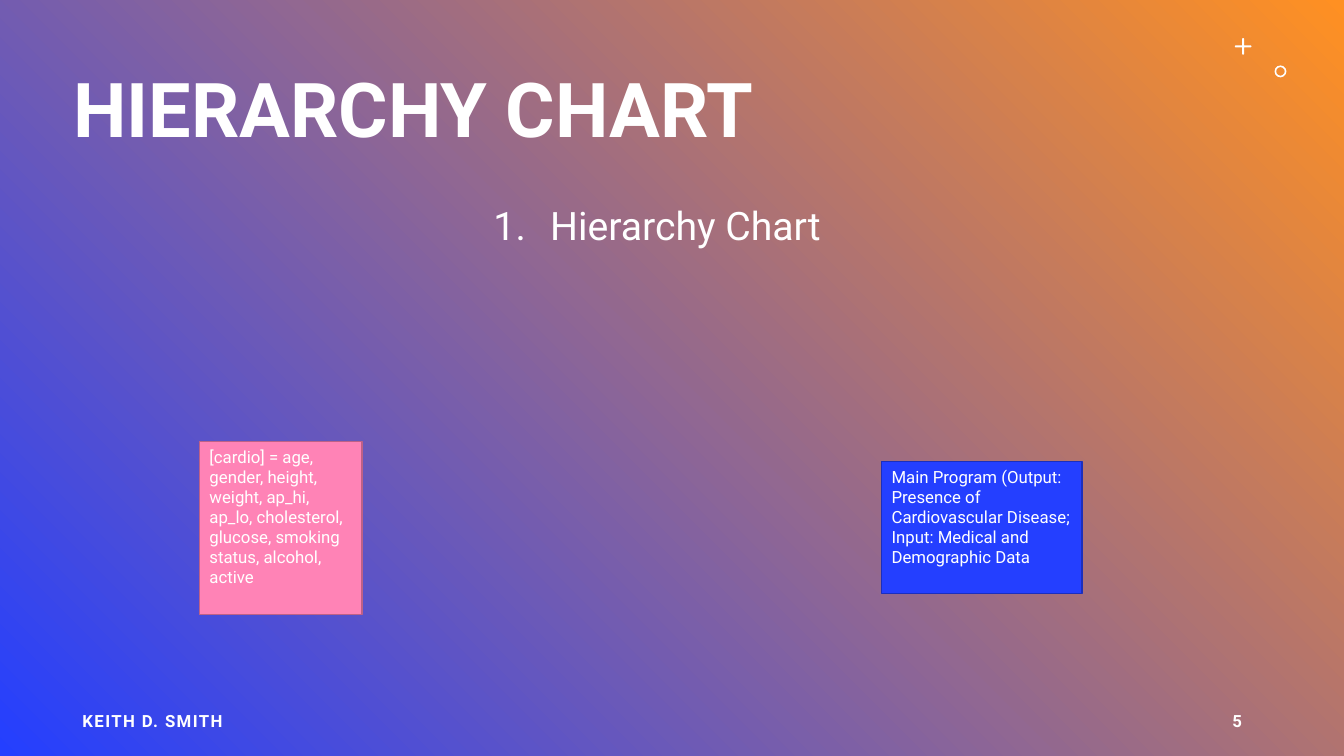
import math

import pptx
import pptx.dml.color
import pptx.enum.shapes
import pptx.enum.text
import pptx.oxml
import pptx.oxml.ns
import pptx.util

Cm = pptx.util.Cm
Pt = pptx.util.Pt
RGBColor = pptx.dml.color.RGBColor
MSO_SHAPE = pptx.enum.shapes.MSO_SHAPE
ANCHOR = pptx.enum.text.MSO_ANCHOR
ALIGN = pptx.enum.text.PP_ALIGN

FONT = "Roboto"
WHITE = RGBColor(0xFF, 0xFF, 0xFF)
BLUE = RGBColor(0x24, 0x3F, 0xFF)
DARK_BLUE = RGBColor(0x1B, 0x2F, 0xBD)
ORANGE = RGBColor(0xFF, 0x90, 0x22)
PINK = RGBColor(0xFF, 0x83, 0xB6)
DARK_PINK = RGBColor(0xBD, 0x61, 0x87)


def write_text(holder, text, size=12, bold=False, align=ALIGN.LEFT,
               anchor=ANCHOR.TOP, line_spacing=1.0, space_before=0, tracking=0):
    frame = holder.text_frame
    frame.word_wrap = True
    frame.vertical_anchor = anchor
    paragraph = frame.paragraphs[0]
    paragraph.alignment = align
    paragraph.line_spacing = line_spacing
    paragraph.space_before = Pt(space_before)
    run = paragraph.add_run()
    run.text = text
    run.font.name = FONT
    run.font.size = Pt(size)
    run.font.bold = bold
    run.font.color.rgb = WHITE
    if tracking:
        run.font._element.set("spc", str(tracking * 100))
    return paragraph


def text_area(slide, box, text, **text_format):
    area = slide.shapes.add_textbox(*map(Cm, box))
    return write_text(area, text, **text_format)


def number_paragraph(paragraph, indent):
    properties = paragraph._p.get_or_add_pPr()
    properties.set("marL", str(Cm(indent)))
    properties.set("indent", str(-Cm(indent)))
    for tag, attribute, value in (("a:buFont", "typeface", FONT),
                                  ("a:buAutoNum", "type", "arabicPeriod")):
        bullet = pptx.oxml.parse_xml(
            f'<{tag} {pptx.oxml.ns.nsdecls("a")} {attribute}="{value}"/>')
        properties.append(bullet)


def paint(shape, fill, line=None):
    shape.shadow.inherit = False
    shape.fill.solid()
    shape.fill.fore_color.rgb = fill
    if line is None:
        shape.line.fill.background()
    else:
        shape.line.color.rgb = line
        shape.line.width = Pt(1)


def background(slide):
    fill = slide.background.fill
    fill.gradient()
    fill.gradient_angle = 45
    for stop, color in zip(fill.gradient_stops, (BLUE, ORANGE)):
        stop.color.rgb = color


def ornaments(slide, box):
    left, top, width, height = box
    plus_size, ring_size, stroke = 0.42, 0.3, 0.05
    center_x, center_y = left + plus_size / 2, top + plus_size / 2
    reach = plus_size / 2 - stroke / 2
    outline = []
    for arm in range(0, 360, 90):
        direction = math.radians(arm)
        tip_x = center_x + reach * math.cos(direction)
        tip_y = center_y + reach * math.sin(direction)
        for turn in range(-90, 91, 30):
            angle = math.radians(arm + turn)
            outline.append((Cm(tip_x + stroke / 2 * math.cos(angle)),
                            Cm(tip_y + stroke / 2 * math.sin(angle))))
        corner = math.radians(arm + 45)
        inner = stroke / math.sqrt(2)
        outline.append((Cm(center_x + inner * math.cos(corner)),
                        Cm(center_y + inner * math.sin(corner))))
    builder = slide.shapes.build_freeform(*outline[0])
    builder.add_line_segments(outline[1:], close=True)
    paint(builder.convert_to_shape(), WHITE)

    ring = slide.shapes.add_shape(
        MSO_SHAPE.DONUT, Cm(left + width - ring_size),
        Cm(top + height - ring_size), Cm(ring_size), Cm(ring_size))
    ring.adjustments[0] = 0.14
    paint(ring, WHITE)


def heading(slide, box):
    left, top, width, height = box
    title_height, body_top = 3.68, 4.06
    text_area(slide, (left, top, width, title_height), "HIERARCHY CHART",
              size=54, bold=True, anchor=ANCHOR.MIDDLE, line_spacing=0.9)
    topic = text_area(
        slide, (left, top + body_top, width, height - body_top),
        "Hierarchy Chart", size=28, align=ALIGN.CENTER,
        line_spacing=0.9, space_before=10)
    number_paragraph(topic, 1.43)


def chart_node(slide, box, text, fill, line):
    node = slide.shapes.add_shape(MSO_SHAPE.RECTANGLE, *map(Cm, box))
    paint(node, fill, line)
    write_text(node, text)


def footer(slide, box):
    left, top, width, height = box
    part_width = 7.62
    for part_left, text, align in (
            (left, "KEITH D. SMITH", ALIGN.LEFT),
            (left + width - part_width, "5", ALIGN.RIGHT)):
        text_area(slide, (part_left, top, part_width, height), text, bold=True,
                  align=align, anchor=ANCHOR.MIDDLE, tracking=1)


def main():
    deck = pptx.Presentation()
    deck.slide_width, deck.slide_height = Cm(33.87), Cm(19.05)
    slide = deck.slides.add_slide(deck.slide_layouts[6])
    background(slide)
    ornaments(slide, (31.12, 0.96, 1.3, 0.99))
    heading(slide, (1.6, 1.02, 29.92, 16.15))
    footer(slide, (1.83, 17.65, 29.72, 1.02))
    chart_node(slide, (5.03, 11.12, 4.09, 4.37),
               "[cardio] = age, gender, height, weight, ap_hi, ap_lo, "
               "cholesterol, glucose, smoking status, alcohol, active",
               PINK, DARK_PINK)
    chart_node(slide, (22.22, 11.63, 5.05, 3.33),
               "Main Program (Output: Presence of Cardiovascular Disease; "
               "Input: Medical and Demographic Data",
               BLUE, DARK_BLUE)
    deck.save("out.pptx")


if __name__ == "__main__":
    main()
